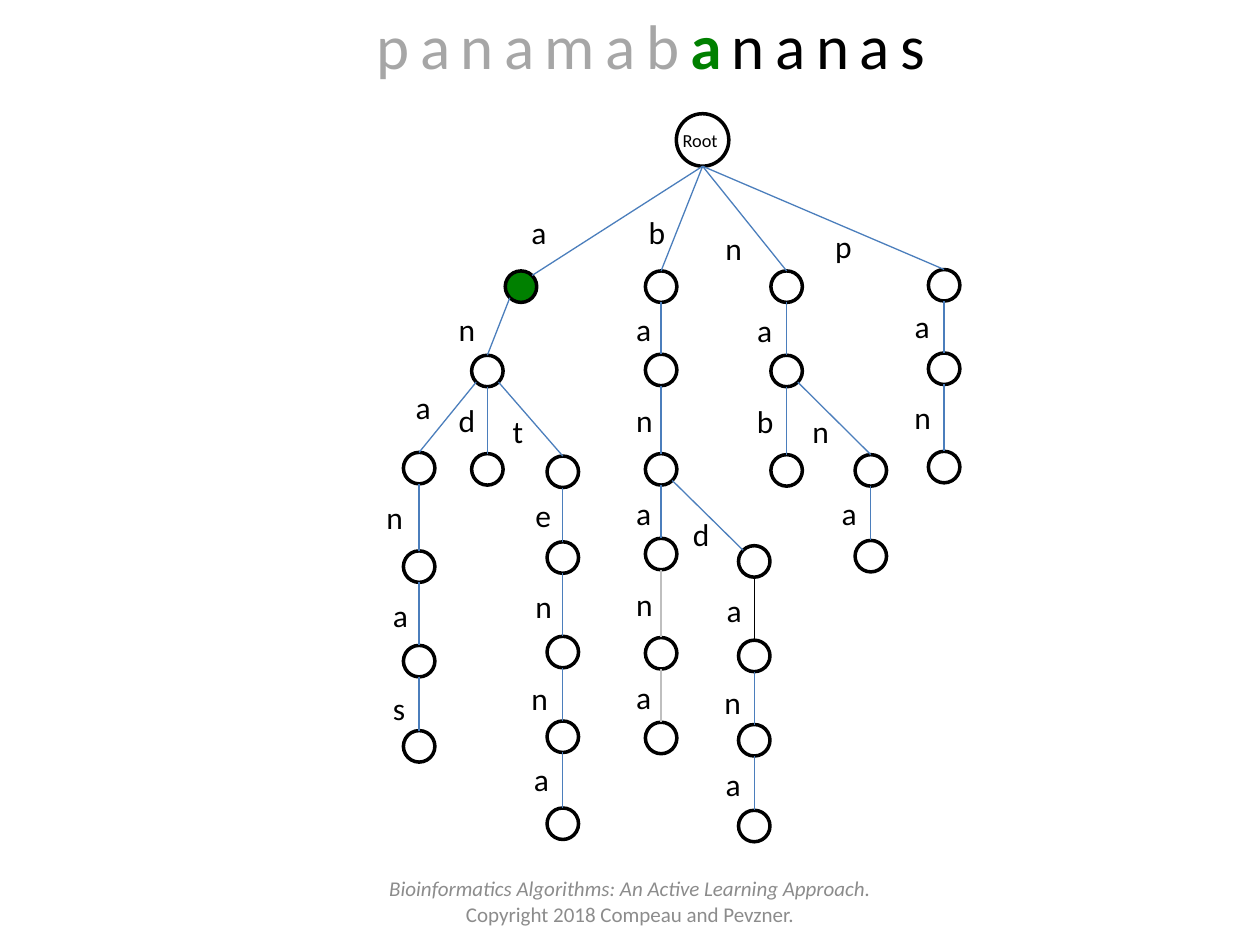
from math import sqrt

from lxml.etree import SubElement
from pptx import Presentation
from pptx.dml.color import RGBColor
from pptx.enum.shapes import MSO_CONNECTOR as CONNECTOR, MSO_SHAPE as SHAPE
from pptx.enum.text import MSO_ANCHOR as ANCHOR, MSO_AUTO_SIZE as AUTO_SIZE, PP_ALIGN as ALIGN
from pptx.oxml.ns import qn
from pptx.util import Pt


def color(value):
    return RGBColor.from_string(value)


def add_text(shapes, box, lines, size, wrap=True, align=ALIGN.LEFT, grow=True):
    shape = shapes.add_textbox(*map(Pt, box))
    frame = shape.text_frame
    frame.word_wrap = wrap
    frame.auto_size = AUTO_SIZE.SHAPE_TO_FIT_TEXT if grow else AUTO_SIZE.NONE
    for index, runs in enumerate(lines):
        paragraph = frame.add_paragraph() if index else frame.paragraphs[0]
        paragraph.alignment = align
        for text, fill, bold, italic in runs:
            run = paragraph.add_run()
            run.text = text
            run.font.name = "Calibri"
            run.font.size = Pt(size)
            run.font.bold = bold
            run.font.italic = italic
            run.font.color.rgb = color(fill)
    return frame


presentation = Presentation()
presentation.slide_width = Pt(720)
presentation.slide_height = Pt(540)
slide = presentation.slides.add_slide(presentation.slide_layouts[6])
trie = slide.shapes.add_group_shape().shapes

BLACK, GREEN, BLUE, GRAY = "000000", "008000", "4B7EBC", "BFBFBF"
RADIUS = 9
ROOT_RADIUS = 15
CORNER = RADIUS / sqrt(2)

# prefix: node centre x, y, label left, top
nodes = {
    "": (401.5, 80, 383, 70),
    "a": (297.7, 163.8, 296.6, 118),
    "an": (278.5, 212, 255, 173.5),
    "and": (278.5, 268.2, 255, 225.4),
    "ana": (239.5, 267.5, 230.4, 218.2),
    "anan": (239.5, 323.8, 213.8, 280.8),
    "anana": (239.5, 377.8, 217.4, 337),
    "ananas": (239.5, 426.5, 217.4, 390.2),
    "ant": (321.6, 269.6, 285.8, 231.8),
    "ante": (321.6, 318.6, 298.8, 280),
    "anten": (321.6, 372.6, 298.8, 332),
    "antenn": (321.6, 421, 296.6, 384.5),
    "antenna": (321.6, 470.7, 298, 430.6),
    "b": (377.8, 163.8, 363.6, 118),
    "ba": (377.8, 211.4, 356.4, 173.5),
    "ban": (377.8, 268.2, 356.4, 225.4),
    "bana": (377.8, 316.6, 356.4, 278.6),
    "banan": (377.8, 373.3, 356.4, 330.5),
    "banana": (377.8, 421.7, 356.4, 383.8),
    "band": (431, 320.8, 388.8, 290.9),
    "banda": (431, 374.8, 408.2, 334),
    "bandan": (431, 423, 406.8, 386.6),
    "bandana": (431, 472, 407.5, 433.4),
    "n": (449.5, 163.8, 407.5, 127.4),
    "na": (449.5, 212, 425.5, 174.2),
    "nab": (449.5, 268.8, 425.5, 226),
    "nan": (497.6, 268.8, 457.2, 231.8),
    "nana": (497.6, 317.8, 473.8, 278.6),
    "p": (539.5, 163, 470.2, 126),
    "pa": (539.5, 210.7, 515.5, 172),
    "pan": (539.5, 266.9, 515.5, 224),
}
edge_colors = {"banan": GRAY, "banana": GRAY, "banda": BLACK}
corner_ends = ("a", "band")
label_widths = {"a": 23, "e": 23.8, "s": 21.6, "t": 20.9}

for prefix, (x, y, label_left, label_top) in nodes.items():
    radius = RADIUS if prefix else ROOT_RADIUS
    node = trie.add_shape(SHAPE.OVAL, Pt(x - radius), Pt(y - radius), Pt(2 * radius), Pt(2 * radius))
    node.shadow.inherit = False
    node.fill.solid()
    node.fill.fore_color.rgb = color(GREEN if prefix == "a" else "FFFFFF")
    node.line.color.rgb = color(BLACK)
    node.line.width = Pt(2)
    if not prefix:
        add_text(trie, (label_left, label_top, 39.6, 20.2), [[("Root", BLACK, False, False)]], 10.5)
        continue

    letter = prefix[-1]
    parent = prefix[:-1]
    parent_x, parent_y = nodes[parent][:2]
    side = (x > parent_x) - (x < parent_x)
    if not parent:
        start = parent_x, parent_y + ROOT_RADIUS
    elif side:
        start = parent_x + side * CORNER, parent_y + CORNER
    else:
        start = parent_x, parent_y + RADIUS
    end = (x - side * CORNER, y - CORNER) if prefix in corner_ends else (x, y - RADIUS)
    edge = trie.add_connector(CONNECTOR.STRAIGHT, *map(Pt, start + end))
    edge.line.color.rgb = color(edge_colors.get(prefix, BLUE))
    edge.line.width = Pt(0.75)
    SubElement(edge._element.spPr, qn("a:effectLst"))
    label_box = (label_left, label_top, label_widths.get(letter, 24.5), 29)
    add_text(trie, label_box, [[(letter, BLACK, False, False)]], 18, wrap=False)

word = [("panamab", "A6A6A6", False, False), ("a", GREEN, True, False), ("nanas", BLACK, False, False)]
title = add_text(slide.shapes, (192, 0, 360, 51), [word], 36, align=ALIGN.CENTER)
for run in title.paragraphs[0].runs:
    run._r.get_or_add_rPr().set("spc", "600")

credit = [
    [("Bioinformatics Algorithms: An Active Learning Approach.", "8C8C8C", False, True)],
    [("Copyright 2018 Compeau and Pevzner.", "8C8C8C", False, False)],
]
footer = add_text(slide.shapes, (204, 500.5, 312, 28.8), credit, 12, align=ALIGN.CENTER, grow=False)
footer.vertical_anchor = ANCHOR.MIDDLE

presentation.save("out.pptx")
